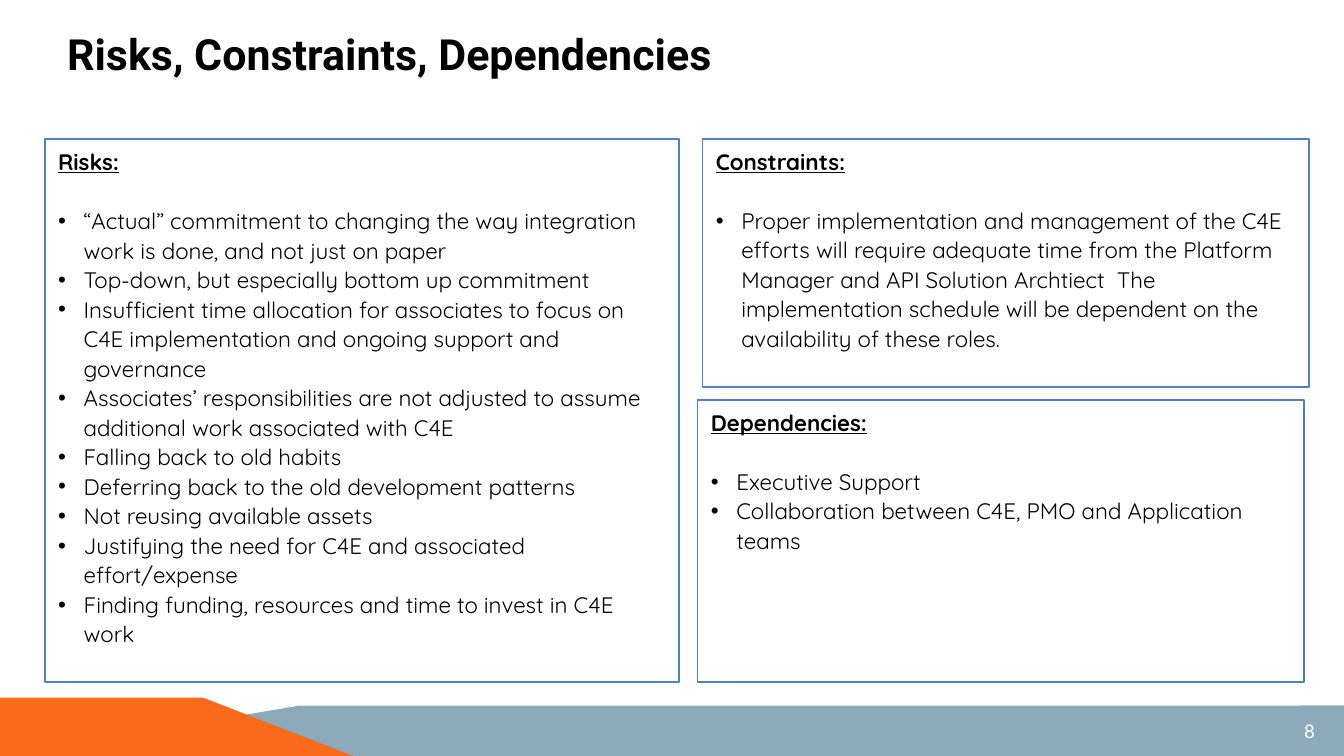
from pptx import Presentation
from pptx.dml.color import RGBColor
from pptx.enum.shapes import MSO_SHAPE as Shape
from pptx.enum.text import MSO_ANCHOR as Anchor, MSO_AUTO_SIZE as AutoSize, PP_ALIGN as Align
from pptx.oxml.ns import qn
from pptx.util import Inches, Pt
from lxml.etree import SubElement

BLACK = RGBColor(0x00, 0x00, 0x00)
WHITE = RGBColor(0xFF, 0xFF, 0xFF)
BORDER = RGBColor(0x4F, 0x81, 0xBD)
STEEL = RGBColor(0x8C, 0xAA, 0xBA)
ORANGE = RGBColor(0xF9, 0x6A, 0x1B)

# Grid of square cells on a 16:9 slide
COLS, ROWS = 100, 56.25
CELL = Inches(0.1)

# Shared edges of the panels and the footer
PANEL_TOP, PANEL_BOTTOM = 10.33, 50.75
RIGHT_WIDTH = 45.1
BAND_TOP, WEDGE_TOP = 52.5, 51.9

RISKS = [
    "“Actual” commitment to changing the way integration work is done, and not just on paper",
    "Top-down, but especially bottom up commitment",
    "Insufficient time allocation for associates to focus on C4E implementation and ongoing support and governance",
    "Associates’ responsibilities are not adjusted to assume additional work associated with C4E",
    "Falling back to old habits",
    "Deferring back to the old development patterns",
    "Not reusing available assets",
    "Justifying the need for C4E and associated effort/expense",
    "Finding funding, resources and time to invest in C4E work",
]
DEPENDENCIES = [
    "Executive Support",
    "Collaboration between C4E, PMO and Application teams",
]
CONSTRAINTS = [
    "Proper implementation and management of the C4E efforts will require adequate time "
    "from the Platform Manager and API Solution Archtiect  The implementation schedule "
    "will be dependent on the availability of these roles.",
]


class SlideBuilder:
    title_font, body_font, number_font = "Roboto", "Quicksand", "Lato"
    title_size, body_size, number_size = 23, 12, 10
    indent = Inches(0.19)

    def __init__(self, deck):
        self.slide = deck.slides.add_slide(deck.slide_layouts[5])
        self.shapes = self.slide.shapes

    def grid(self, *cells):
        return [round(cell * CELL) for cell in cells]

    def paint(self, shape, fill, line=None):
        shape.shadow.inherit = False
        shape.fill.solid()
        shape.fill.fore_color.rgb = fill
        if line is None:
            shape.line.fill.background()
        else:
            shape.line.color.rgb = line
            shape.line.width = Pt(1)

    def add_run(self, paragraph, text, font, size, color, bold=False, underline=False):
        run = paragraph.add_run()
        run.text = text
        run.font.name = font
        run.font.size = Pt(size)
        run.font.color.rgb = color
        run.font.bold = bold
        run.font.underline = underline

    def title(self, text, left, top, width, height):
        title = self.shapes.title
        title.left, title.top, title.width, title.height = self.grid(left, top, width, height)
        frame = title.text_frame
        frame.margin_left = frame.margin_right = frame.margin_top = frame.margin_bottom = 0
        frame.vertical_anchor = Anchor.MIDDLE
        frame.auto_size = AutoSize.NONE
        frame.word_wrap = True
        paragraph = frame.paragraphs[0]
        paragraph.alignment = Align.LEFT
        paragraph.line_spacing = 1.14
        self.add_run(paragraph, text, self.title_font, self.title_size, BLACK, bold=True)

    def band(self, points, fill):
        start, *rest = [self.grid(*point) for point in points]
        outline = self.shapes.build_freeform(*start)
        outline.add_line_segments(rest, close=True)
        self.paint(outline.convert_to_shape(), fill)

    def page_number(self, number, left, top, width, height):
        tab = self.shapes.add_shape(Shape.FLOWCHART_DELAY, *self.grid(left, top, width, height))
        tab._element.spPr.find(qn("a:xfrm")).set("flipH", "1")
        self.paint(tab, STEEL)
        tab.text_frame.vertical_anchor = Anchor.MIDDLE
        paragraph = tab.text_frame.paragraphs[0]
        paragraph.alignment = Align.CENTER
        self.add_run(paragraph, number, self.number_font, self.number_size, WHITE)

    def bullet(self, paragraph):
        props = paragraph._p.get_or_add_pPr()
        props.set("marL", str(self.indent))
        props.set("indent", str(-self.indent))
        color = SubElement(props, qn("a:buClr"))
        SubElement(color, qn("a:srgbClr")).set("val", str(BLACK))
        SubElement(props, qn("a:buFont")).set("typeface", "Arial")
        SubElement(props, qn("a:buChar")).set("char", "•")

    def panel(self, heading, items, left, top, width, height):
        panel = self.shapes.add_shape(Shape.RECTANGLE, *self.grid(left, top, width, height))
        self.paint(panel, WHITE, BORDER)
        frame = panel.text_frame
        frame.word_wrap = True
        frame.vertical_anchor = Anchor.TOP
        for index, text in enumerate([heading, *items]):
            is_heading = index == 0
            paragraph = frame.paragraphs[0] if is_heading else frame.add_paragraph()
            paragraph.alignment = Align.LEFT
            paragraph.line_spacing = 1.1
            if is_heading:
                paragraph.space_after = Pt(15.8)
            else:
                self.bullet(paragraph)
            self.add_run(paragraph, text, self.body_font, self.body_size, BLACK,
                         bold=is_heading, underline=is_heading)


def main():
    deck = Presentation()
    deck.slide_width, deck.slide_height = round(COLS * CELL), round(ROWS * CELL)
    page = SlideBuilder(deck)

    # Footer
    page.band([(0, ROWS), (22.3, BAND_TOP), (COLS, BAND_TOP), (COLS, ROWS)], STEEL)
    page.band([(0, ROWS), (0, WEDGE_TOP), (15.1, WEDGE_TOP), (26.3, ROWS)], ORANGE)
    page.page_number("8", COLS - 6, BAND_TOP, 6, ROWS - BAND_TOP)

    # Title
    page.title("Risks, Constraints, Dependencies", 5, 0, 77.8, 7.4)

    # Panels
    page.panel("Risks:", RISKS, 3.34, PANEL_TOP, 47.2, PANEL_BOTTOM - PANEL_TOP)
    page.panel("Dependencies:", DEPENDENCIES, 51.9, 29.75, RIGHT_WIDTH, PANEL_BOTTOM - 29.75)
    page.panel("Constraints:", CONSTRAINTS, 52.27, PANEL_TOP, RIGHT_WIDTH, 18.45)

    deck.save("out.pptx")


if __name__ == "__main__":
    main()
